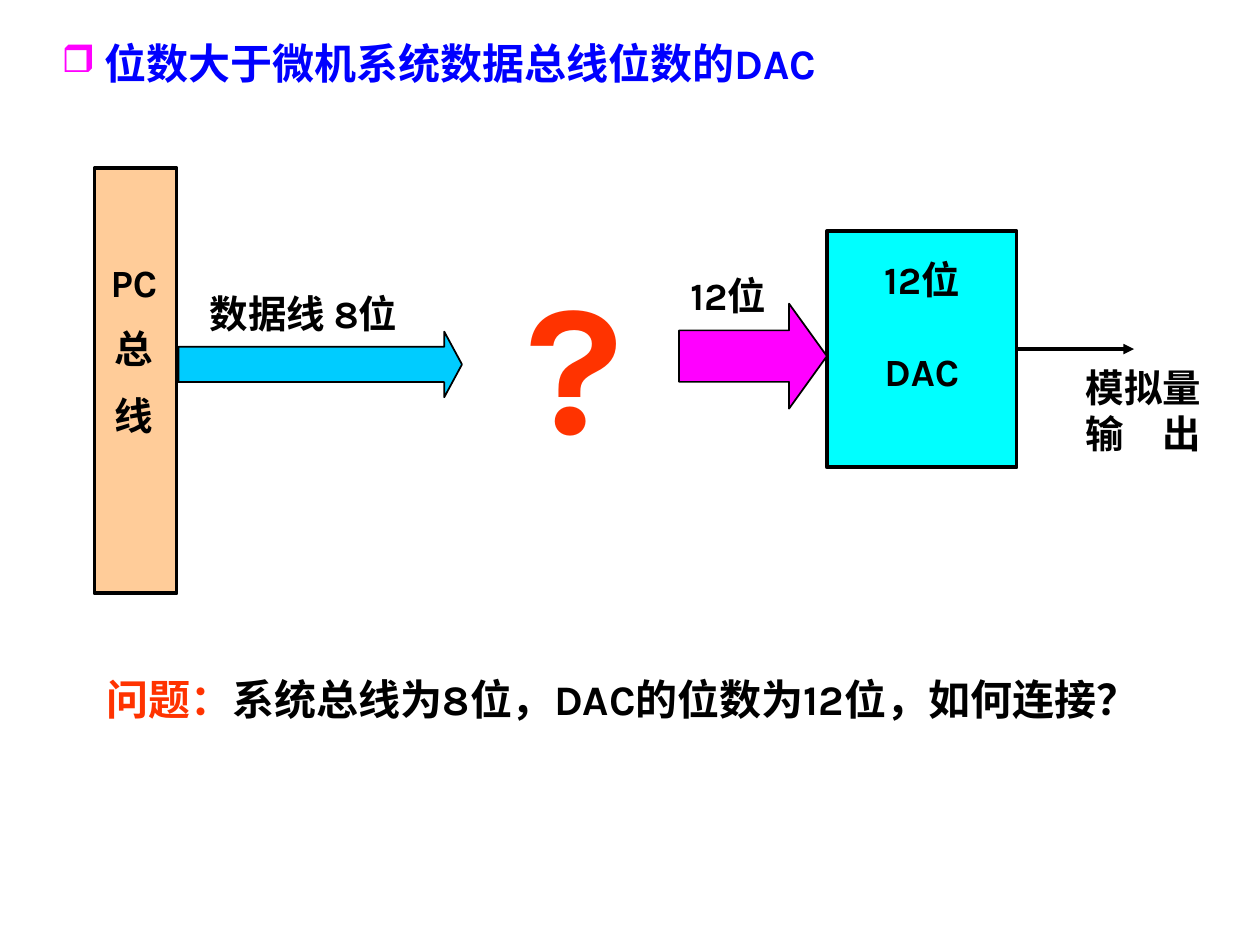
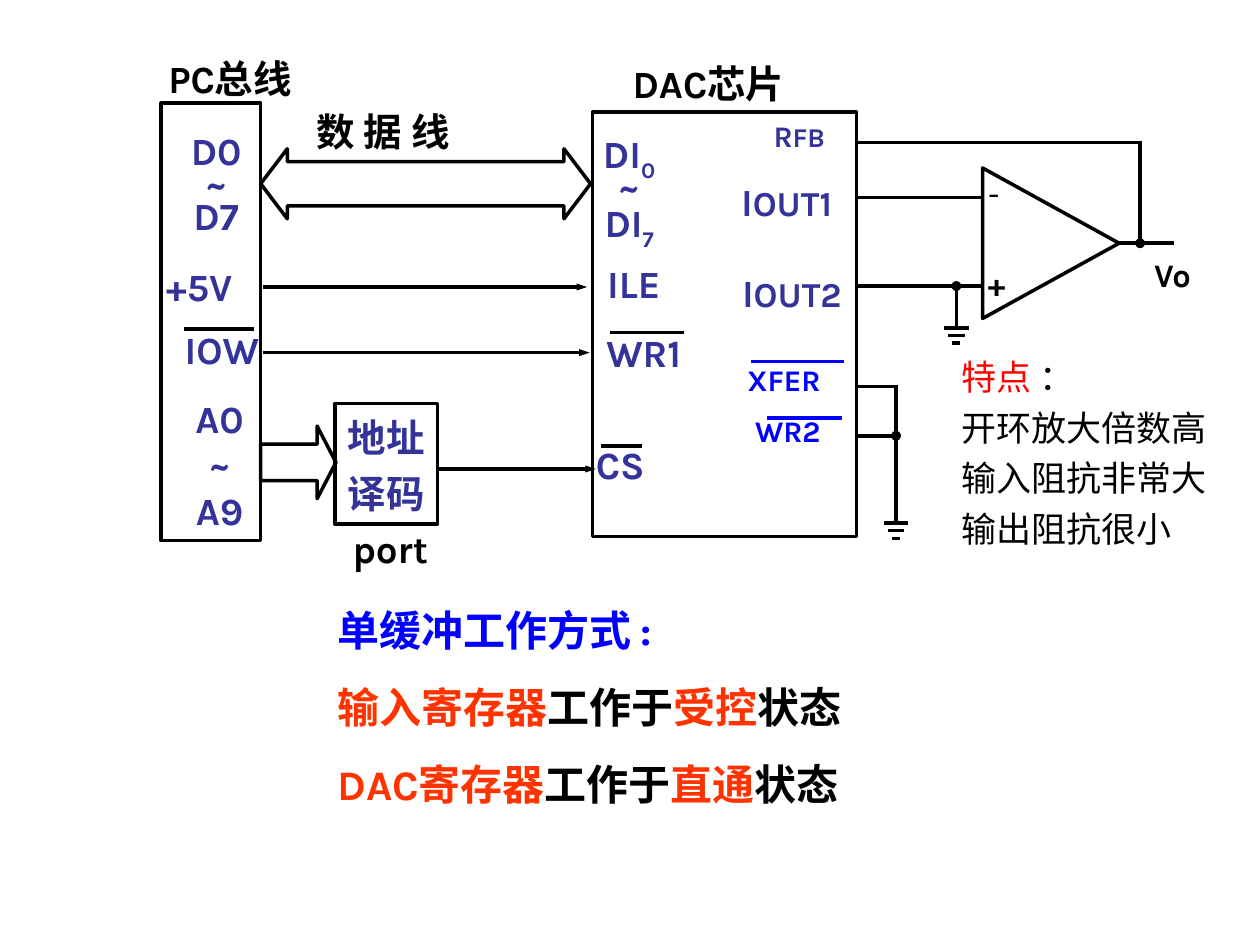
from dataclasses import dataclass
from typing import Any

from lxml import etree
from pptx import Presentation
from pptx.dml.color import RGBColor
from pptx.enum import shapes, text
from pptx.oxml import ns
from pptx.util import Pt

BLACK, BLUE, INDIGO, RED = "000000", "0000FF", "333399", "FF3300"
MAGENTA, CYAN, SKY, PEACH, BRIGHT_RED = "FF00FF", "00FFFF", "00CCFF", "FFCC99", "FF0000"
LATIN, CJK = "Karla", "Noto Sans CJK SC"
LABEL = {"size": 22, "name": LATIN, "bold": True, "color": BLACK}
PIN = LABEL | {"color": INDIGO}
SMALL_PIN = PIN | {"size": 17.1}
HEADING = LABEL | {"size": 24}
NO_INSETS, TEXT_INSETS = (0, 0, 0, 0), (7.2, 3.6, 7.2, 3.6)
LEFT, CENTER, RIGHT = text.PP_ALIGN.LEFT, text.PP_ALIGN.CENTER, text.PP_ALIGN.RIGHT
SHAPE = shapes.MSO_SHAPE


def rgb(color):
    return RGBColor.from_string(color)


def add_child(parent, tag, **attributes):
    return etree.SubElement(parent, ns.qn(tag), attributes)


def format_run(run, style):
    values = dict(style)
    run.font.color.rgb = rgb(values.pop("color"))
    baseline = values.pop("baseline", None)
    if baseline:
        run.font._element.set("baseline", baseline)
    values["size"] = Pt(values["size"])
    for attribute, value in values.items():
        setattr(run.font, attribute, value)


def write(shape, paragraphs, style, align=LEFT, insets=NO_INSETS, before=0, after=0,
          spacing=1.0, wrap=True, bullet=None):
    """Fill a shape; a paragraph is a string or a list of (string, style changes)."""
    frame = shape.text_frame
    sides = ("margin_left", "margin_top", "margin_right", "margin_bottom")
    frame_format = dict(zip(sides, map(Pt, insets)))
    frame_format |= {"word_wrap": wrap, "auto_size": text.MSO_AUTO_SIZE.NONE,
                     "vertical_anchor": text.MSO_ANCHOR.TOP}
    for attribute, value in frame_format.items():
        setattr(frame, attribute, value)
    for index, runs in enumerate(paragraphs):
        paragraph = frame.add_paragraph() if index else frame.paragraphs[0]
        paragraph_format = {"alignment": align, "line_spacing": spacing,
                            "space_before": Pt(before if index else 0), "space_after": Pt(after)}
        for attribute, value in paragraph_format.items():
            setattr(paragraph, attribute, value)
        properties = paragraph._p.get_or_add_pPr()
        indent = Pt(24.5) if bullet else 0
        properties.set("marL", str(indent))
        properties.set("indent", str(-indent))
        if bullet:
            add_child(add_child(properties, "a:buClr"), "a:srgbClr", val=MAGENTA)
            add_child(properties, "a:buSzPct", val="90000")
            add_child(properties, "a:buChar", char=bullet)
        else:
            add_child(properties, "a:buNone")
        for words, changes in [(runs, {})] if isinstance(runs, str) else runs:
            run = paragraph.add_run()
            run.text = words
            format_run(run, style | changes)


@dataclass
class Region:
    """A box on a slide; parts are placed in points from its top left corner."""
    slide: Any
    left: float
    top: float
    width: float = 0
    height: float = 0

    def frame(self, x, y, width, height):
        return Pt(self.left + x), Pt(self.top + y), Pt(width), Pt(height)

    def label(self, box, paragraphs, style=LABEL, **layout):
        write(self.slide.shapes.add_textbox(*self.frame(*box)), paragraphs, style, **layout)

    def fill_placeholder(self, placeholder, paragraphs, style, **layout):
        sides = ("left", "top", "width", "height")
        for side, value in zip(sides, self.frame(0, 0, self.width, self.height)):
            setattr(placeholder, side, value)
        write(placeholder, paragraphs, style, insets=TEXT_INSETS, **layout)

    def block(self, kind, box, fill=None, weight=2, adjustments=()):
        shape = self.slide.shapes.add_shape(kind, *self.frame(*box))
        shape.shadow.inherit = False
        if fill:
            shape.fill.solid()
            shape.fill.fore_color.rgb = rgb(fill)
        else:
            shape.fill.background()
        shape.line.color.rgb = rgb(BLACK)
        shape.line.width = Pt(weight)
        for index, value in enumerate(adjustments):
            shape.adjustments[index] = value
        return shape

    def outline(self, fill=None):
        return self.block(SHAPE.RECTANGLE, (0, 0, self.width, self.height), fill)

    def wire(self, x1, y1, x2, y2, color=BLACK, head=None):
        start, end = self.frame(x1, y1, 0, 0)[:2], self.frame(x2, y2, 0, 0)[:2]
        line = self.slide.shapes.add_connector(shapes.MSO_CONNECTOR.STRAIGHT, *start, *end)
        line.line.color.rgb = rgb(color)
        line.line.width = Pt(2)
        if head:
            add_child(line.line._get_or_add_ln(), "a:tailEnd", type="triangle", w=head, len="med")
        add_child(line._element.spPr, "a:effectLst")

    def junction(self, x, y):
        self.block(SHAPE.OVAL, (x - 1.8, y - 1.8, 3.6, 3.6), BLACK)

    def ground(self, x, y):
        for step, half in enumerate((7, 4.8, 2.2)):
            self.wire(x - half, y + 4.3 * step, x + half, y + 4.3 * step)


def pc_bus_with_data_arrow(region):
    region.outline(PEACH)
    region.label((4.5, 52, 36, 130), ["PC", "总", "线"], align=CENTER, before=11.5)
    region.label((66, 69.5, 126, 34), ["数据线 8位"])
    region.block(SHAPE.RIGHT_ARROW, (48, 93.5, 162, 37.5), SKY, 1, (0.54, 0.27))


def twelve_bit_dac(region):
    converter = region.outline(CYAN)
    write(converter, ["12位", "DAC"], LABEL, align=CENTER, insets=(0, 14.4, 0, 0), before=26)
    region.wire(region.width, 67.5, 175.5, 67.5, head="med")
    region.label((148, 76, 77, 55), ["模拟量", "输　出"])
    region.label((-78, 23.5, 63, 34), ["12位"])
    region.block(SHAPE.RIGHT_ARROW, (-84.5, 41.5, 84.5, 60), MAGENTA, 1, (0.49, 0.36))


def width_mismatch_slide(deck):
    slide = deck.slides.add_slide(deck.slide_layouts[5])
    Region(slide, 28, 18, 463, 36).fill_placeholder(
        slide.shapes.title, ["位数大于微机系统数据总线位数的DAC"], HEADING | {"color": BLUE},
        wrap=False, bullet="❒")
    pc_bus_with_data_arrow(Region(slide, 54, 96, 47, 243))
    twelve_bit_dac(Region(slide, 472.5, 132, 108.5, 135))
    page = Region(slide, 0, 0)
    page.label((54, 381.5, 602, 65),
               [[("问题：", {"color": RED}), ("系统总线为8位，DAC的位数为12位，如何连接？", {})]],
               HEADING, insets=TEXT_INSETS)
    page.label((294, 138, 90, 135), ["?"], LABEL | {"size": 106, "color": RED},
               insets=TEXT_INSETS)


def pc_bus_pins(region):
    region.outline()
    region.label((-4, -27.5, 87, 33), ["PC总线"], align=CENTER)
    region.label((13, 18, 37, 91), ["D0", "~", "D7"], PIN, align=CENTER,
                 insets=(0, 3, 0, 0), spacing=0.7)
    region.label((3, 91, 52.5, 29.5), ["+5V"], PIN)
    region.label((5, 127.5, 51, 29), ["IOW"], PIN, align=RIGHT)
    region.wire(13, 129, 53, 129)
    region.label((18, 166.5, 31, 82), ["A0", "~", "A9"], PIN, align=CENTER)


def bus_signals(region):
    region.block(SHAPE.LEFT_RIGHT_ARROW, (0, 26, 188.5, 40), adjustments=(0.63, 0.38))
    region.label((32, 3, 93, 29.5), ["数 据 线"], LABEL | {"name": CJK})
    region.wire(1.5, 105, 186.5, 105, head="sm")
    region.wire(1.5, 142.5, 188, 142.5, head="sm")
    region.block(SHAPE.RIGHT_ARROW, (0, 184.5, 43, 41.5), adjustments=(0.5, 0.26))
    decoder = region.block(SHAPE.RECTANGLE, (42.5, 171.5, 58.5, 69))
    write(decoder, ["地址", "译码"], PIN, align=CENTER, insets=(0, 1, 0, 1), spacing=1.2)
    region.label((52.5, 241, 66, 33), ["port"])
    region.wire(101, 209, 191.5, 209, head="sm")


def dac_chip(region):
    region.outline()
    region.label((23, -29.5, 120, 28), ["DAC芯片"])
    subscript = {"baseline": "-25000"}
    region.label((1.5, 12.5, 39, 66),
                 [[("DI", {}), ("0", subscript)], "~", [("DI", {}), ("7", subscript)]],
                 PIN, align=CENTER, insets=(0, 3, 0, 0), spacing=0.7)
    blue_pin = SMALL_PIN | {"color": BLUE}
    for x, y, name, style in ((8.5, 84.5, "ILE", PIN), (8, 124, "WR1", PIN),
                              (2, 188, "CS", PIN), (88.5, 142.5, "XFER", blue_pin),
                              (93, 171.5, "WR2", blue_pin)):
        region.label((x, y, 60, 29.5), [name], style)
    for x, y, first, rest, style, rest_size in ((103.5, 3, "R", "FB", SMALL_PIN, 15.5),
                                                (85, 37.5, "I", "OUT1", PIN, 20),
                                                (85.5, 89.5, "I", "OUT2", PIN, 20)):
        region.label((x, y, 76, 30), [[(first, {}), (rest, {"size": rest_size})]], style)
    for start, end, y, color in ((10, 52.5, 126, BLACK), (5, 28.5, 191, BLACK),
                                 (90.5, 144, 142.5, BLUE), (100, 142.5, 175, BLUE)):
        region.wire(start, y, end, y, color)


def output_amplifier(region):
    feedback_x, output_y, reference_x, reference_y = 162, 75, 57, 99.5
    region.wire(0, 17.5, feedback_x + 1, 17.5)
    region.wire(feedback_x, 17.5, feedback_x, output_y)
    region.wire(0, 49, 71.5, 49)
    region.wire(1, reference_y, 71.5, reference_y)
    region.wire(149.5, output_y, 181.5, output_y)
    region.block(SHAPE.ISOSCELES_TRIANGLE, (68, 36, 86, 78)).rotation = 90
    sign = LABEL | {"size": 18.7}
    region.label((75, 86.5, 17, 23), ["+"], sign)
    region.label((75.5, 37.5, 17, 23), ["-"], sign | {"name": CJK, "bold": False}, spacing=0.9)
    region.label((170, 81.5, 28, 23), ["Vo"], sign)
    region.junction(feedback_x, output_y)
    region.wire(reference_x, reference_y, reference_x, 123.5)
    region.ground(reference_x, 123.5)
    region.junction(reference_x, reference_y)


def grounded_controls(region):
    """Tie XFER and WR2 to ground."""
    trunk_x, xfer_y, wr2_y, ground_y = 22.5, 157, 185, 235
    for y in (xfer_y, wr2_y):
        region.wire(0, y, trunk_x, y)
    region.wire(trunk_x, xfer_y - 1, trunk_x, ground_y)
    region.ground(trunk_x, ground_y)
    region.junction(trunk_x, wr2_y)


def single_buffer_slide(deck):
    slide = deck.slides.add_slide(deck.slide_layouts[3])
    title, conclusion, features = list(slide.placeholders)
    title._element.getparent().remove(title._element)
    pc_bus_pins(Region(slide, 92, 59, 57, 250))
    bus_signals(Region(slide, 149, 59))
    dac_chip(Region(slide, 338.5, 64, 151, 242.5))
    output_amplifier(Region(slide, 489.5, 64))
    grounded_controls(Region(slide, 489.5, 64))

    red, blue = {"color": RED}, {"color": BLUE}
    modes = [[(register, red), ("工作于", {}), (mode, red), ("状态", {})]
             for register, mode in (("输入寄存器", "受控"), ("DAC寄存器", "直通"))]
    Region(slide, 185.5, 342, 324, 124).fill_placeholder(
        conclusion, [[("单缓冲工作方式 ", blue | {"name": CJK}), (":", blue)], *modes],
        HEADING, after=15)
    Region(slide, 542, 199.5, 165.5, 134).fill_placeholder(
        features, [[("特点", {"color": BRIGHT_RED}), (" ：", {})],
                   "开环放大倍数高", "输入阻抗非常大", "输出阻抗很小"],
        {"size": 20, "name": CJK, "bold": False, "color": BLACK}, before=5)


def main():
    deck = Presentation()
    deck.slide_width, deck.slide_height = Pt(720), Pt(540)
    width_mismatch_slide(deck)
    single_buffer_slide(deck)
    deck.save("out.pptx")


if __name__ == "__main__":
    main()
